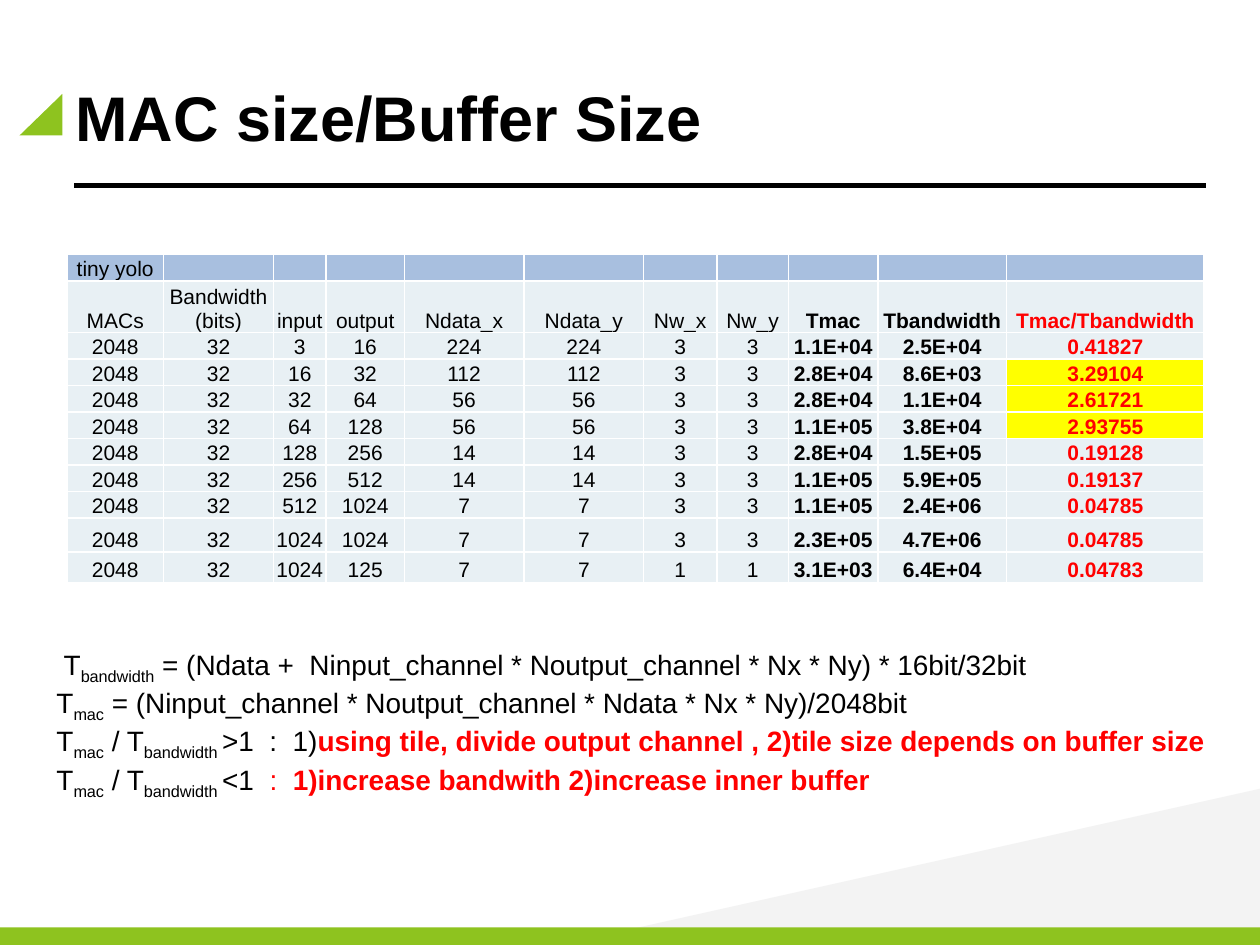
from lxml.etree import SubElement
from pptx import Presentation
from pptx.dml.color import RGBColor
from pptx.enum.shapes import MSO_CONNECTOR, MSO_SHAPE
from pptx.enum.text import MSO_ANCHOR, PP_ALIGN
from pptx.oxml.ns import qn
from pptx.util import Inches, Pt

BLACK = RGBColor(0x00, 0x00, 0x00)
RED = RGBColor(0xFF, 0x00, 0x00)
GREEN = RGBColor(0x8E, 0xC3, 0x1F)
PALE_GREY = RGBColor(0xF2, 0xF2, 0xF2)
BAND_BLUE = RGBColor(0xA8, 0xBF, 0xDF)
CELL_BLUE = RGBColor(0xE8, 0xF0, 0xF4)
YELLOW = RGBColor(0xFF, 0xFF, 0x00)
WHITE = RGBColor(0xFF, 0xFF, 0xFF)

COL_WIDTHS = [0.77, 0.87, 0.42, 0.62, 0.95, 0.95, 0.58, 0.57, 0.71, 1.02, 1.57]
ROW_HEIGHTS = [0.19, 0.39] + [0.2] * 7 + [0.27, 0.24]
HEADERS = ["MACs", "Bandwidth\n(bits)", "input", "output", "Ndata_x", "Ndata_y",
           "Nw_x", "Nw_y", "Tmac", "Tbandwidth", "Tmac/Tbandwidth"]
# input, output, data size, weight size, Tmac, Tbandwidth, ratio
LAYERS = [
    (3, 16, 224, 3, "1.1E+04", "2.5E+04", "0.41827"),
    (16, 32, 112, 3, "2.8E+04", "8.6E+03", "3.29104"),
    (32, 64, 56, 3, "2.8E+04", "1.1E+04", "2.61721"),
    (64, 128, 56, 3, "1.1E+05", "3.8E+04", "2.93755"),
    (128, 256, 14, 3, "2.8E+04", "1.5E+05", "0.19128"),
    (256, 512, 14, 3, "1.1E+05", "5.9E+05", "0.19137"),
    (512, 1024, 7, 3, "1.1E+05", "2.4E+06", "0.04785"),
    (1024, 1024, 7, 3, "2.3E+05", "4.7E+06", "0.04785"),
    (1024, 125, 7, 1, "3.1E+03", "6.4E+04", "0.04783"),
]
TMAC_COL, RATIO_COL = 8, 10

SUB = {"baseline": -25}
ALERT = {"bold": True, "color": RED}
RATIO = [("T", {}), ("mac", SUB), (" / T", {}), ("bandwidth ", SUB)]
FORMULAS = [
    [(" T", {}), ("bandwidth", SUB),
     (" = (Ndata +  Ninput_channel * Noutput_channel * Nx * Ny) * 16bit/32bit", {})],
    [("T", {}), ("mac", SUB),
     (" = (Ninput_channel * Noutput_channel * Ndata * Nx * Ny)/2048bit", {})],
    RATIO + [(">1  :  1)", {}),
             ("using tile, divide output channel , 2)tile size depends on buffer size", ALERT)],
    RATIO + [("<1  ", {}), (":  ", {"color": RED}),
             ("1)increase bandwith 2)increase inner buffer", ALERT)],
]


def add_run(p, text, size, color=BLACK, bold=False, baseline=0):
    r = p.add_run()
    r.text = text
    for name, value in {"name": "Arial", "size": Pt(size), "bold": bold}.items():
        setattr(r.font, name, value)
    r.font.color.rgb = color
    if baseline:
        r.font._element.set("baseline", str(baseline * 1000))


def add_text(s, box, paragraphs, size, anchor=MSO_ANCHOR.TOP):
    """Add a text box; each paragraph is a list of (text, run format) pairs."""
    tf = s.shapes.add_textbox(*map(Inches, box)).text_frame
    tf.word_wrap = True
    tf.vertical_anchor = anchor
    for i, runs in enumerate(paragraphs):
        p = tf.add_paragraph() if i else tf.paragraphs[0]
        for text, style in runs:
            add_run(p, text, size, **style)


def add_filled(s, kind, box, color, rotation=0, opacity=100):
    sp = s.shapes.add_shape(kind, *map(Inches, box))
    sp.rotation = rotation
    sp.shadow.inherit = False
    sp.fill.solid()
    sp.fill.fore_color.rgb = color
    sp.line.fill.background()
    if opacity < 100:
        clr = sp._element.spPr.find(qn("a:solidFill"))[0]
        SubElement(clr, qn("a:alpha")).set("val", str(opacity * 1000))


def add_rule(s, x1, x2, y):
    line = s.shapes.add_connector(MSO_CONNECTOR.STRAIGHT, Inches(x1), Inches(y),
                                  Inches(x2), Inches(y))
    line.line.color.rgb = BLACK
    line.line.width = Pt(3)
    SubElement(line._element.spPr, qn("a:effectLst"))


def set_borders(cell):
    tcPr = cell._tc.get_or_add_tcPr()
    for side in ("lnL", "lnR", "lnT", "lnB"):
        ln = SubElement(tcPr, qn(f"a:{side}"), w=str(Pt(1)))
        fill = SubElement(ln, qn("a:solidFill"))
        SubElement(fill, qn("a:srgbClr"), val=str(WHITE))


def fill_cell(cell, text, fill, color, bold):
    set_borders(cell)
    cell.fill.solid()
    cell.fill.fore_color.rgb = fill
    formats = {"margin_left": Inches(0.01), "margin_right": Inches(0.01),
               "margin_top": Inches(0.01), "margin_bottom": 0,
               "vertical_anchor": MSO_ANCHOR.BOTTOM}
    for name, value in formats.items():
        setattr(cell, name, value)
    tf = cell.text_frame
    for i, line in enumerate(text.split("\n")):
        p = tf.add_paragraph() if i else tf.paragraphs[0]
        p.alignment = PP_ALIGN.CENTER
        if line:
            add_run(p, line, 12, color, bold)
        else:
            SubElement(p._p, qn("a:endParaRPr"), sz="1200")


def table_rows():
    rows = [["tiny yolo"] + [""] * (len(HEADERS) - 1), HEADERS]
    for inp, out, data, weight, *times in LAYERS:
        rows.append([2048, 32, inp, out, data, data, weight, weight, *times])
    return rows


def add_layer_table(s, left, top):
    rows = table_rows()
    table = s.shapes.add_table(len(rows), len(HEADERS), Inches(left), Inches(top),
                               Inches(sum(COL_WIDTHS)), Inches(sum(ROW_HEIGHTS))).table
    for col, width in zip(table.columns, COL_WIDTHS):
        col.width = Inches(width)
    for row, height in zip(table.rows, ROW_HEIGHTS):
        row.height = Inches(height)
    for i, values in enumerate(rows):
        for j, value in enumerate(values):
            fill = BAND_BLUE if i == 0 else CELL_BLUE
            if i > 1 and j == RATIO_COL and float(value) > 1:
                fill = YELLOW
            color = RED if j == RATIO_COL else BLACK
            fill_cell(table.cell(i, j), str(value), fill, color, j >= TMAC_COL)


def main():
    prs = Presentation()
    prs.slide_width, prs.slide_height = Inches(10), Inches(7.5)
    s = prs.slides.add_slide(prs.slide_layouts[6])
    add_filled(s, MSO_SHAPE.RIGHT_TRIANGLE, (6.52, 4.05, 1.27, 5.69), PALE_GREY, 270, 90)
    add_filled(s, MSO_SHAPE.RIGHT_TRIANGLE, (0.16, 0.74, 0.33, 0.34), GREEN, 270)
    add_filled(s, MSO_SHAPE.RECTANGLE, (0, 7.36, 10, 0.14), GREEN)
    add_text(s, (0.5, 0.3, 9, 1.25), [[("MAC size/Buffer Size", {"bold": True})]], 36,
             MSO_ANCHOR.MIDDLE)
    add_rule(s, 0.59, 9.57, 1.47)
    add_layer_table(s, 0.53, 2.02)
    add_text(s, (0.35, 5.09, 9.53, 1.72), FORMULAS, 16)
    prs.save("out.pptx")


if __name__ == "__main__":
    main()
